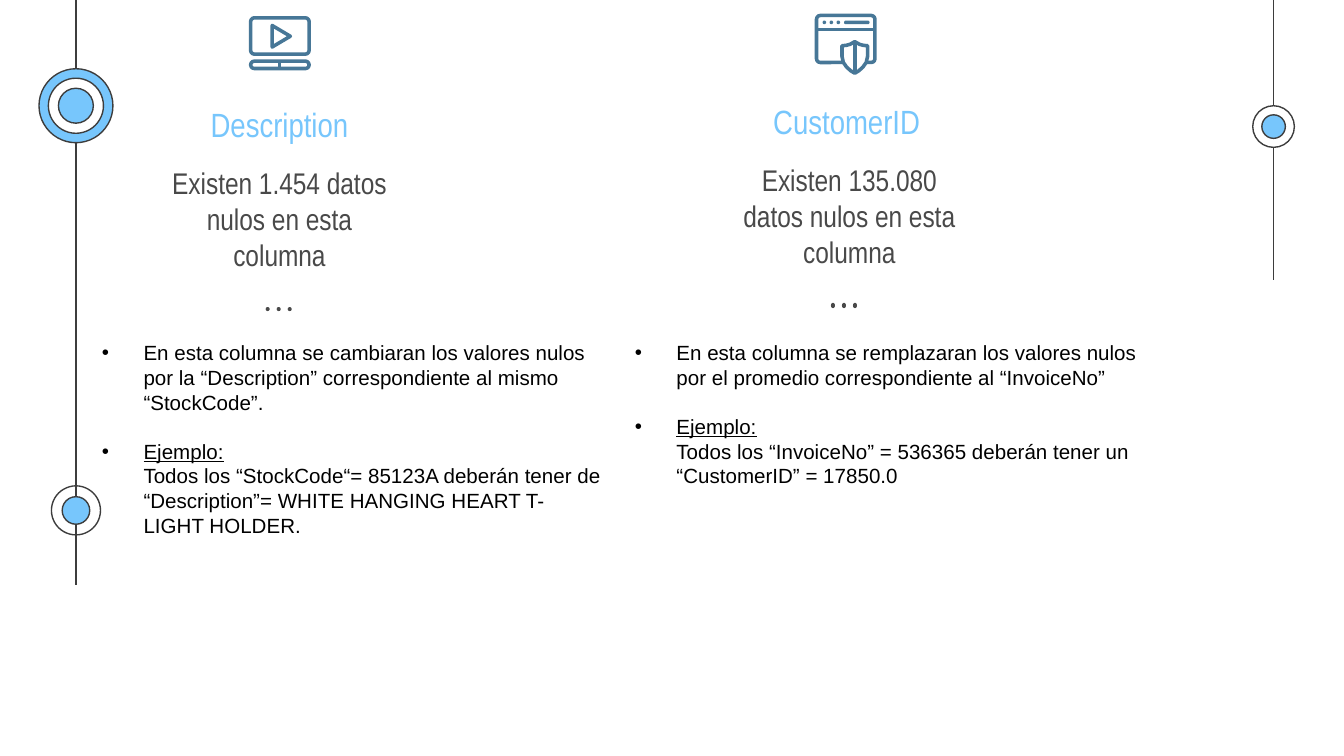
from lxml import etree
from pptx import Presentation
from pptx.dml.color import RGBColor
from pptx.enum.shapes import MSO_CONNECTOR, MSO_SHAPE
from pptx.enum.text import MSO_AUTO_SIZE, PP_ALIGN
from pptx.oxml.ns import qn
from pptx.util import Inches, Pt

OVAL = MSO_SHAPE.OVAL
ROUNDED = MSO_SHAPE.ROUNDED_RECTANGLE
STRAIGHT = MSO_CONNECTOR.STRAIGHT
CENTER = PP_ALIGN.CENTER
GROW = MSO_AUTO_SIZE.SHAPE_TO_FIT_TEXT
INK, SKY, STEEL, GRAY = "3D3D3D", "77C6FC", "477797", "494949"
WHITE, BLACK = "FFFFFF", "000000"
rgb = RGBColor.from_string

deck = Presentation()
deck.slide_width = Inches(10)
deck.slide_height = deck.slide_width * 9 // 16
COL = deck.slide_width / 100
slide = deck.slides.add_slide(deck.slide_layouts[6])
shapes = slide.shapes


def grid(*columns):
    return [round(COL * c) for c in columns]


def style(shape, fill=None, edge=None, weight=0.75):
    if hasattr(shape, "fill"):
        if fill:
            shape.fill.solid()
            shape.fill.fore_color.rgb = rgb(fill)
        else:
            shape.fill.background()
    if edge:
        shape.line.color.rgb = rgb(edge)
        shape.line.width = Pt(weight)
    else:
        shape.line.fill.background()
    etree.SubElement(shape._element.spPr, qn("a:effectLst"))


LEFT_RAIL, RIGHT_RAIL = 5.65, 94.76
rules = [
    (LEFT_RAIL, 0, LEFT_RAIL, 43.5, INK, 0.75),
    (RIGHT_RAIL, 0, RIGHT_RAIL, 20.8, INK, 0.75),
    (60.75, 2.2, 65.1, 2.2, STEEL, 1.9),
]
for x1, y1, x2, y2, color, weight in rules:
    style(shapes.add_connector(STRAIGHT, *grid(x1, y1, x2, y2)), edge=color, weight=weight)

rings = [
    (LEFT_RAIL, 37.98, 3.65, None),
    (LEFT_RAIL, 37.98, 2.05, SKY),
    (RIGHT_RAIL, 9.42, 3.1, WHITE),
    (RIGHT_RAIL, 9.42, 1.75, SKY),
    (LEFT_RAIL, 7.87, 5.5, SKY),
    (LEFT_RAIL, 7.87, 4.1, WHITE),
    (LEFT_RAIL, 7.87, 2.6, SKY),
]
for x, y, size, fill in rings:
    ring = shapes.add_shape(OVAL, *grid(x - size / 2, y - size / 2, size, size))
    style(ring, fill, INK)

dots = [(19.77 + 0.82 * i, 22.85, 0.3, 0.3, GRAY) for i in range(3)]
dots += [(61.83 + 0.82 * i, 22.53, 0.3, 0.4, GRAY) for i in range(3)]
dots += [(61.2 + 0.52 * i, 1.53, 0.27, 0.27, STEEL) for i in range(3)]
for *place, color in dots:
    style(shapes.add_shape(OVAL, *grid(*place)), color)

icon_frames = [
    (18.65, 1.33, 4.35, 2.7, 0.1, None, STEEL),
    (18.65, 4.55, 4.35, 0.55, 0.5, None, STEEL),
    (60.75, 1.15, 4.35, 3.5, 0.08, None, STEEL),
    (62.8, 1.53, 1.9, 0.27, 0.5, STEEL, None),
    (20.73, 4.55, 0.1, 0.55, 0, STEEL, STEEL),
]
for *place, corner, fill, edge in icon_frames:
    frame = shapes.add_shape(ROUNDED, *grid(*place))
    frame.adjustments[0] = corner
    style(frame, fill, edge, 1.9 if fill is None else 1)

play = [(20.25, 1.9), (21.6, 2.7), (20.25, 3.5)]
half_shield = [(63.6, 3.1), (63.25, 3.3), (62.95, 3.38), (62.65, 3.4), (62.65, 4.2),
               (62.75, 4.65), (63, 5), (63.3, 5.27), (63.6, 5.45)]
shield = half_shield + [(127.2 - x, y) for x, y in half_shield[-2:0:-1]]
for outline, fill, spine in [(play, None, False), (shield, WHITE, True)]:
    pen = shapes.build_freeform(*grid(*outline[0]))
    pen.add_line_segments([grid(*point) for point in outline[1:]], close=True)
    if spine:
        pen.move_to(*grid(63.6, 3.1))
        pen.add_line_segments([grid(63.6, 5.45)], close=False)
    style(pen.convert_to_shape(), fill, STEEL, 1.9)

captions = [
    ("CustomerID", 53.35, 6.5, 3.6, 18, SKY),
    ("Description", 11.15, 6.75, 3.6, 18, SKY),
    ("Existen 135.080 datos nulos en esta columna", 53.55, 11.04, 9.2, 16, GRAY),
    ("Existen 1.454 datos nulos en esta columna", 11.15, 11.25, 9.2, 16, GRAY),
]
for words, left, top, height, size, color in captions:
    frame = shapes.add_textbox(*grid(left, top, 19.3, height)).text_frame
    frame.word_wrap = True
    frame.margin_top = frame.margin_bottom = Inches(0.1)
    caption = frame.paragraphs[0]
    caption.text = words
    caption.alignment = CENTER
    caption.font.name, caption.font.size = "Arial Narrow", Pt(size)
    caption.font.color.rgb = rgb(color)

treatments = [
    (46.25, 41.3, 12.1,
     "En esta columna se remplazaran los valores nulos por el promedio correspondiente al “InvoiceNo”",
     "Ejemplo:", " ",
     "Todos los “InvoiceNo” = 536365 deberán tener un “CustomerID” = 17850.0"),
    (6.6, 39.3, 15.8,
     "En esta columna se cambiaran los valores nulos por la “Description” correspondiente al mismo “StockCode”.",
     "Ejemplo:", "",
     "Todos los “StockCode“= 85123A deberán tener de “Description”= WHITE HANGING HEART T-LIGHT HOLDER."),
]
for left, width, height, rule, heading, gap, example in treatments:
    frame = shapes.add_textbox(*grid(left, 24.82, width, height)).text_frame
    frame.word_wrap = True
    frame.auto_size = GROW
    frame.paragraphs[0].text = rule
    sample = frame.add_paragraph()
    sample.space_before = Pt(13.2)
    label = sample.add_run()
    label.text = heading
    label.font.underline = True
    if gap:
        sample.add_run().text = gap
    sample.add_line_break()
    sample.add_run().text = example
    for item in frame.paragraphs:
        item.font.name, item.font.size = "Arial", Pt(11)
        item.font.color.rgb = rgb(BLACK)
        props = item._p.get_or_add_pPr()
        indent = Inches(0.31)
        props.set("marL", str(indent))
        props.set("indent", str(-indent))
        defaults = props.find(qn("a:defRPr"))
        defaults.addprevious(etree.Element(qn("a:buFont"), typeface="Arial"))
        defaults.addprevious(etree.Element(qn("a:buChar"), char="•"))

deck.save("out.pptx")
